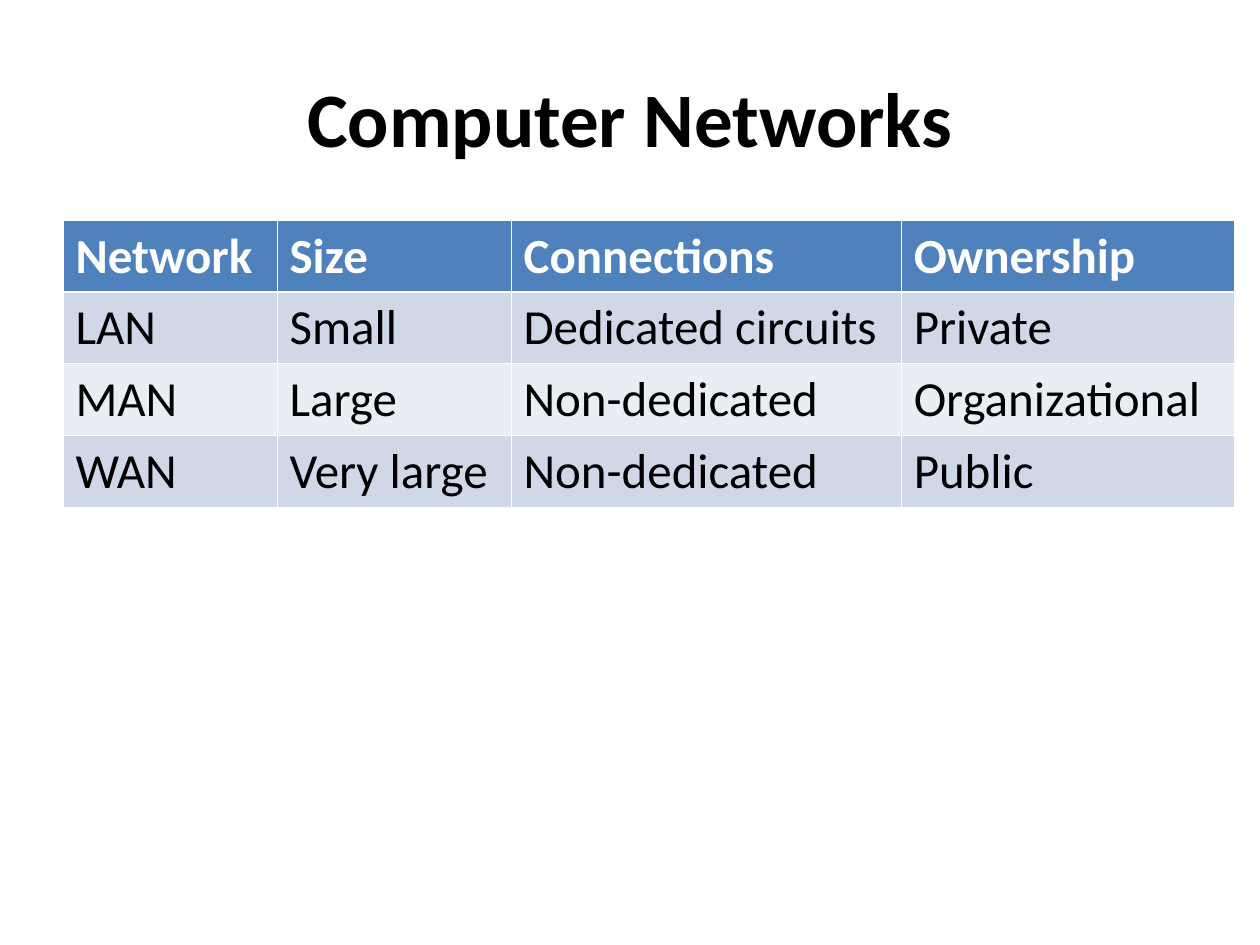
from collections import namedtuple
from dataclasses import dataclass

from lxml import etree
from pptx import Presentation
from pptx import util as u
from pptx.dml.color import RGBColor
from pptx.enum import text
from pptx.oxml import ns

Box = namedtuple("Box", "left top width height")


@dataclass(frozen=True)
class Theme:
    font: str = "Calibri"
    title_size: float = 44
    table_size: float = 28
    ink: str = "000000"
    paper: str = "FFFFFF"
    header: str = "4F81BD"
    bands: tuple = ("D0D8E8", "E9EDF4")
    thin_rule: float = 0.45
    header_rule: float = 1.47


THEME = Theme()
PAGE_WIDTH, PAGE_HEIGHT = u.Inches(10), u.Inches(7.5)

# Boxes as shares of the slide
TITLE_BOX = Box(0.05, 0.04, 0.9, 1 / 6)
TABLE_BOX = Box(0.05, 0.233, 0.93, 0.304)

COLUMN_WEIGHTS = (1.7, 1.86, 3.1, 2.65)
NETWORKS = (
    ("Network", "Size", "Connections", "Ownership"),
    ("LAN", "Small", "Dedicated circuits", "Private"),
    ("MAN", "Large", "Non-dedicated", "Organizational"),
    ("WAN", "Very large", "Non-dedicated", "Public"),
)


def on_page(box):
    return Box(int(box.left * PAGE_WIDTH), int(box.top * PAGE_HEIGHT),
               int(box.width * PAGE_WIDTH), int(box.height * PAGE_HEIGHT))


def write(frame, words, *, size, color=THEME.ink, bold=False,
          align=text.PP_ALIGN.LEFT):
    para = frame.paragraphs[0]
    para.alignment = align
    span = para.add_run()
    span.text = words
    span.font.name = THEME.font
    span.font.size = u.Pt(size)
    span.font.bold = bold
    span.font.color.rgb = RGBColor.from_string(color)


def set_borders(cell, **widths):
    properties = cell._tc.get_or_add_tcPr()
    for index, side in enumerate(("L", "R", "T", "B")):
        line = etree.Element(ns.qn(f"a:ln{side}"),
                             w=str(u.Pt(widths.get(side, THEME.thin_rule))))
        fill = etree.SubElement(line, ns.qn("a:solidFill"))
        etree.SubElement(fill, ns.qn("a:srgbClr"), val=THEME.paper)
        properties.insert(index, line)  # borders come before the cell fill


def add_title(page, box, words):
    frame = page.shapes.add_textbox(*on_page(box)).text_frame
    frame.word_wrap = True
    frame.vertical_anchor = text.MSO_ANCHOR.MIDDLE
    write(frame, words, size=THEME.title_size, bold=True,
          align=text.PP_ALIGN.CENTER)


def add_network_table(page, box, rows):
    area = on_page(box)
    table = page.shapes.add_table(len(rows), len(rows[0]), *area).table
    for column, weight in zip(table.columns, COLUMN_WEIGHTS):
        column.width = int(area.width * weight / sum(COLUMN_WEIGHTS))

    for r, row in enumerate(rows):
        is_header = r == 0
        fill = THEME.header if is_header else THEME.bands[(r - 1) % 2]
        # The heavier rule runs between the header and the first row
        rules = {0: {"B": THEME.header_rule}, 1: {"T": THEME.header_rule}}
        for c, words in enumerate(row):
            cell = table.cell(r, c)
            cell.fill.solid()
            cell.fill.fore_color.rgb = RGBColor.from_string(fill)
            set_borders(cell, **rules.get(r, {}))
            write(cell.text_frame, words, size=THEME.table_size,
                  color=THEME.paper if is_header else THEME.ink,
                  bold=is_header)


def main():
    deck = Presentation()
    deck.slide_width, deck.slide_height = PAGE_WIDTH, PAGE_HEIGHT
    page = deck.slides.add_slide(deck.slide_layouts[6])
    add_title(page, TITLE_BOX, "Computer Networks")
    add_network_table(page, TABLE_BOX, NETWORKS)
    deck.save("out.pptx")


if __name__ == "__main__":
    main()
